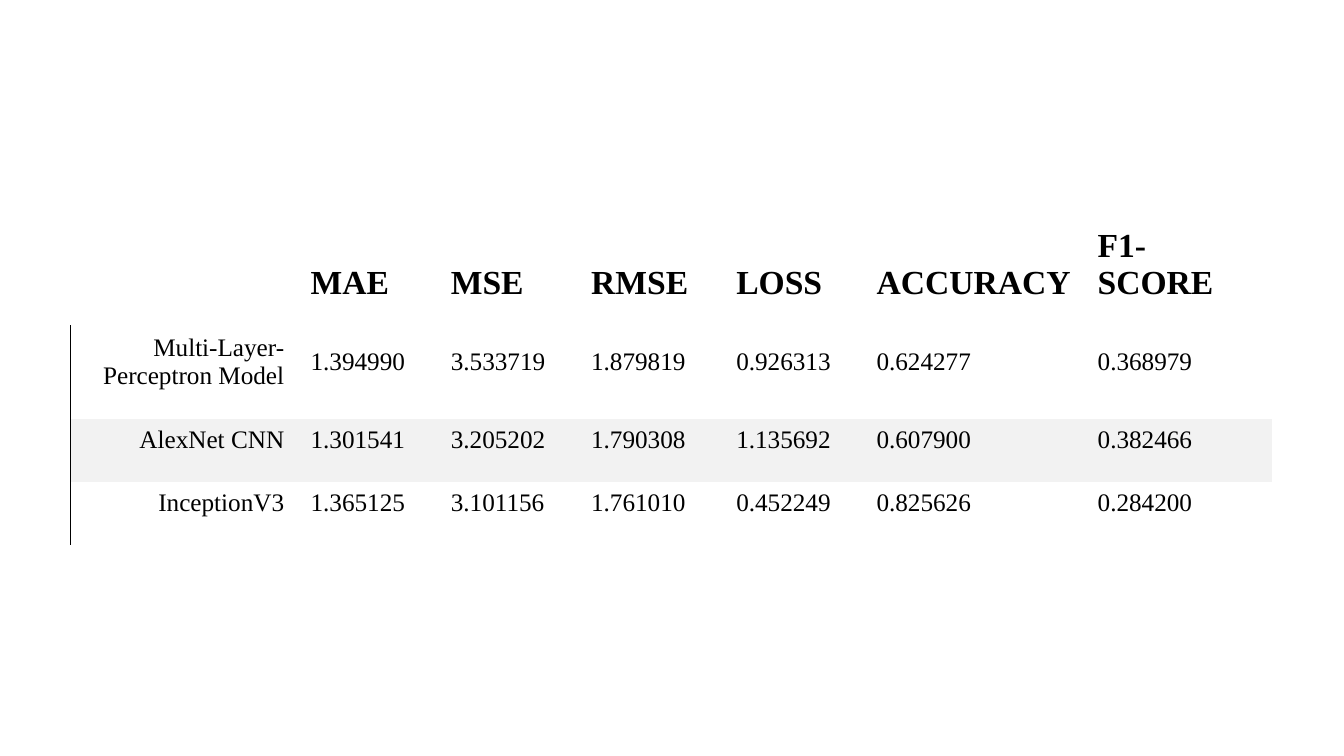
from lxml.etree import SubElement
from pptx import Presentation
from pptx.dml.color import RGBColor
from pptx.enum.text import MSO_ANCHOR as Anchor, PP_ALIGN as Align
from pptx.oxml import parse_xml
from pptx.oxml.ns import nsdecls, qn
from pptx.util import Pt

FONT = "Times New Roman"
BLACK, BAND = "000000", "F2F2F2"
NO_STYLE = "{2D5ABB26-0587-4C30-8999-92F81FD0307C}"

METRICS = ["", "MAE", "MSE", "RMSE", "LOSS", "ACCURACY", "F1-SCORE"]
MODELS = [
    ["Multi-Layer-Perceptron Model", "1.394990", "3.533719", "1.879819",
     "0.926313", "0.624277", "0.368979"],
    ["AlexNet CNN", "1.301541", "3.205202", "1.790308",
     "1.135692", "0.607900", "0.382466"],
    ["InceptionV3", "1.365125", "3.101156", "1.761010",
     "0.452249", "0.825626", "0.284200"],
]
COLUMN_WIDTHS = [163.5, 100.2, 100.2, 103.7, 100.2, 158, 132.5]
ROW_HEIGHTS = [82, 67, 45, 45]


def color(code):
    return RGBColor.from_string(code)


def add_left_rule(cell, code, width):
    properties = cell._tc.get_or_add_tcPr()
    rule = parse_xml(f'<a:lnL {nsdecls("a")} w="{Pt(width)}"/>')
    fill = SubElement(rule, qn("a:solidFill"))
    SubElement(fill, qn("a:srgbClr"), val=code)
    properties.insert(0, rule)


def fill_cell(cell, text, is_header, is_model, is_banded):
    cell.margin_left, cell.margin_top = Pt(8), Pt(2.2)
    cell.margin_right, cell.margin_bottom = Pt(10.8), Pt(16.6)
    cell.vertical_anchor = Anchor.BOTTOM if is_header else Anchor.MIDDLE
    if is_banded:
        cell.fill.solid()
        cell.fill.fore_color.rgb = color(BAND)
    else:
        cell.fill.background()
    if is_model:
        add_left_rule(cell, BLACK, 0.75)
    if text:
        paragraph = cell.text_frame.paragraphs[0]
        paragraph.alignment = Align.RIGHT if is_model else Align.LEFT
        run = paragraph.add_run()
        run.text = text
        run.font.name = FONT
        run.font.size = Pt(24 if is_header else 18)
        run.font.bold = is_header
        run.font.color.rgb = color(BLACK)


def add_metrics_table(slide, left, top, column_widths, row_heights):
    rows = [METRICS, *MODELS]
    frame = slide.shapes.add_table(
        len(rows), len(METRICS), Pt(left), Pt(top),
        Pt(sum(column_widths)), Pt(sum(row_heights)))
    table = frame.table
    table.first_row = table.horz_banding = False
    table._tbl.tblPr.find(qn("a:tableStyleId")).text = NO_STYLE
    for column, width in zip(table.columns, column_widths):
        column.width = Pt(width)
    for row, height in zip(table.rows, row_heights):
        row.height = Pt(height)
    for r, values in enumerate(rows):
        for c, value in enumerate(values):
            fill_cell(table.cell(r, c), value, is_header=r == 0,
                      is_model=r > 0 and c == 0, is_banded=r == 2)


def main():
    deck = Presentation()
    deck.slide_width, deck.slide_height = Pt(960), Pt(540)
    slide = deck.slides.add_slide(deck.slide_layouts[6])
    add_metrics_table(slide, 50.4, 150.3, COLUMN_WIDTHS, ROW_HEIGHTS)
    deck.save("out.pptx")


if __name__ == "__main__":
    main()
